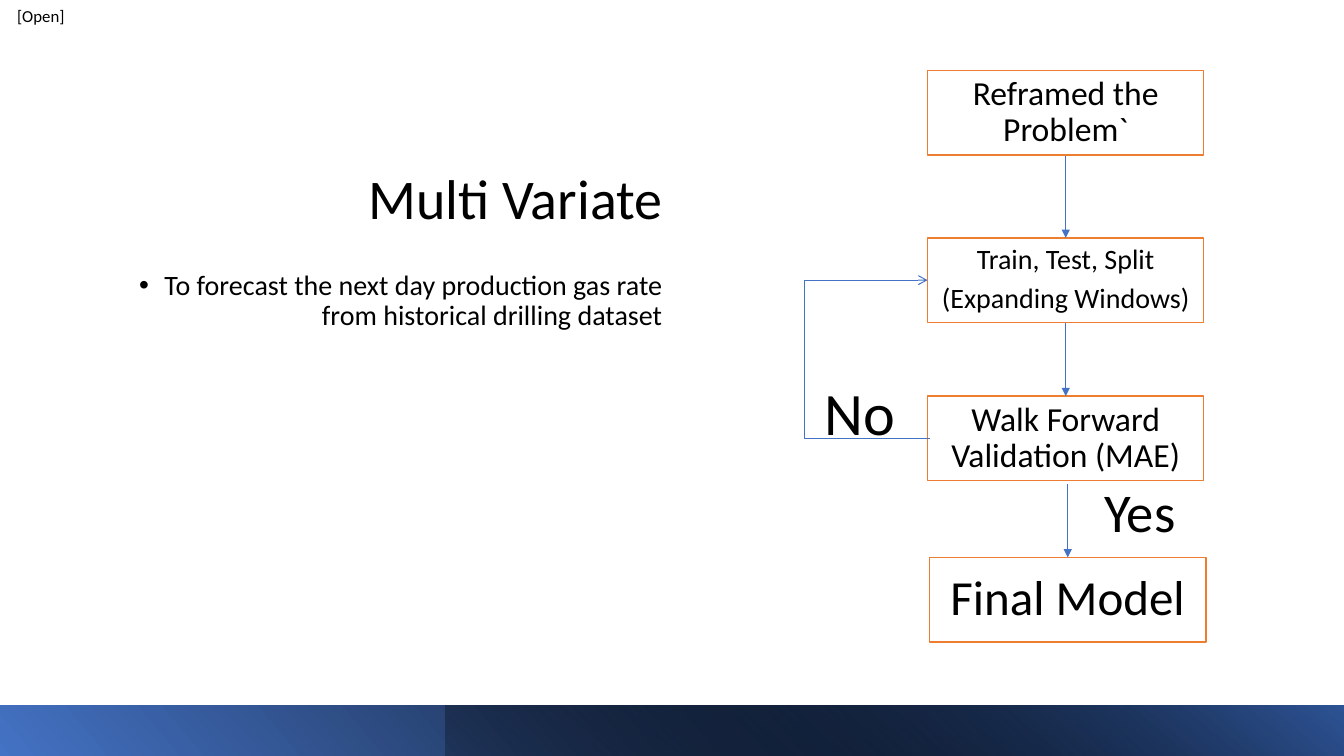
from dataclasses import dataclass

from pptx import Presentation
from pptx.dml.color import RGBColor
from pptx.enum.shapes import MSO_CONNECTOR as Link, MSO_SHAPE as Preset
from pptx.enum.text import MSO_ANCHOR as Anchor, PP_ALIGN as Align
from pptx.oxml.ns import qn
from pptx.oxml.xmlchemy import OxmlElement as element
from pptx.util import Inches, Pt

BLACK, WHITE, BLUE, NAVY, ORANGE = "000000", "FFFFFF", "4472C4", "2F5597", "ED7D31"
STEP_WIDTH, STEP_HEIGHT = 2.74, 0.84
LABEL_WIDTH = 0.93
FLOW = {"alignment": Align.CENTER, "line_spacing": 0.9, "space_after": Pt(6)}
HEADING = {"alignment": Align.RIGHT, "line_spacing": 0.9, "space_before": Pt(0)}
GOAL = {"alignment": Align.RIGHT, "line_spacing": 0.9, "space_before": Pt(10)}
MARK = {"alignment": Align.CENTER}


@dataclass
class Step:
    left: float
    top: float
    lines: list[str]
    size: int


@dataclass
class Label:
    left: float
    top: float
    text: str
    size: int


@dataclass
class Arrow:
    x: float
    top: float
    bottom: float


@dataclass
class Band:
    left: float
    width: float
    rotation: int
    angle: int
    stops: list[tuple[float, str]]
    opacity: int


STEPS = [
    Step(9.2, 0.7, ["Reframed the Problem`"], 24),
    Step(9.2, 2.36, ["Train, Test, Split", "(Expanding Windows)"], 20),
    Step(9.2, 3.93, ["Walk Forward Validation (MAE)"], 24),
    Step(9.22, 5.53, ["Final Model"], 35),
]
LABELS = [Label(8.06, 3.71, "No", 43), Label(10.84, 4.69, "Yes", 39)]
ARROWS = [Arrow(10.57, 1.55, 2.36), Arrow(10.57, 3.2, 3.93), Arrow(10.59, 4.8, 5.53)]
BANDS = [
    Band(0, 13.33, 180, 320, [(0, BLUE), (0.85, BLACK)], 100),
    Band(4.42, 8.92, 0, 130, [(0, BLACK), (1, NAVY)], 26),
]


def colour(value: str) -> RGBColor:
    return RGBColor.from_string(value)


def box(left: float, top: float, width: float, height: float) -> list[int]:
    return [Inches(length) for length in (left, top, width, height)]


def place(holder, left: float, top: float, width: float, height: float) -> None:
    sides = zip(("left", "top", "width", "height"), box(left, top, width, height))
    for side, length in sides:
        setattr(holder, side, length)


def write(frame, lines: list[str], size: int, look: dict, anchor=Anchor.MIDDLE) -> None:
    frame.word_wrap = True
    frame.vertical_anchor = anchor
    frame.text = "\n".join(lines)
    for paragraph in frame.paragraphs:
        for name, value in look.items():
            setattr(paragraph, name, value)
        for run in paragraph.runs:
            for name, value in {"name": "Calibri", "size": Pt(size)}.items():
                setattr(run.font, name, value)
            run.font.color.rgb = colour(BLACK)


def draw_band(shapes, band: Band) -> None:
    strip = shapes.add_shape(Preset.RECTANGLE, *box(band.left, 7, band.width, 0.5))
    strip.shadow.inherit = False
    strip.line.fill.background()
    strip.rotation = band.rotation
    strip.element.spPr.find(qn("a:xfrm")).set("flipH", "1")
    strip.fill.gradient()
    strip.fill.gradient_angle = band.angle
    for stop, (position, shade) in zip(strip.fill.gradient_stops, band.stops):
        stop.position = position
        stop.color.rgb = colour(shade)
    if band.opacity < 100:
        alpha = element("a:alpha")
        alpha.set("val", str(band.opacity * 1000))
        strip.element.spPr.find(".//" + qn("a:srgbClr")).append(alpha)


def draw_step(shapes, step: Step) -> None:
    card = shapes.add_shape(
        Preset.RECTANGLE, *box(step.left, step.top, STEP_WIDTH, STEP_HEIGHT))
    card.shadow.inherit = False
    card.fill.solid()
    card.fill.fore_color.rgb = colour(WHITE)
    card.line.color.rgb = colour(ORANGE)
    card.line.width = Pt(1)
    write(card.text_frame, step.lines, step.size, FLOW)


def draw_label(shapes, label: Label) -> None:
    answer = shapes.add_textbox(*box(label.left, label.top, LABEL_WIDTH, STEP_HEIGHT))
    write(answer.text_frame, [label.text], label.size, FLOW)


def draw_link(shapes, kind, ends: tuple[float, ...], weight: float, head: str):
    link = shapes.add_connector(kind, *box(*ends))
    link.line.color.rgb = colour(BLUE)
    link.line.width = Pt(weight)
    tail = element("a:tailEnd")
    tail.set("type", head)
    link.line._get_or_add_ln().append(tail)
    link.element.spPr.append(element("a:effectLst"))
    return link


def draw_retry_loop(shapes) -> None:
    start, end, turn = 9.22, 9.2, 7.98
    loop = draw_link(shapes, Link.ELBOW, (start, 4.35, end, 2.78), 0.75, "arrow")
    bend = element("a:gd")
    bend.set("name", "adj1")
    bend.set("fmla", f"val {round((start - turn) / (start - end) * 100000)}")
    geometry = loop.element.spPr.find(qn("a:prstGeom"))
    geometry.find(qn("a:avLst")).append(bend)


def write_goal(body) -> None:
    place(body, 1, 2.64, 5.67, 3.73)
    goal = "To forecast the next day production gas rate from historical drilling dataset"
    write(body.text_frame, [goal], 20, GOAL, Anchor.TOP)
    settings = body.text_frame.paragraphs[0]._p.get_or_add_pPr()
    settings.set("marL", str(Inches(0.25)))
    settings.set("indent", str(Inches(-0.25)))
    bullet = element("a:buChar")
    bullet.set("char", "•")
    settings.append(bullet)


def main() -> None:
    deck = Presentation()
    deck.slide_width, deck.slide_height = Inches(13.33), Inches(7.5)
    slide = deck.slides.add_slide(deck.slide_layouts[1])
    shapes = slide.shapes

    marking = shapes.add_textbox(*box(0, 0, 0.81, 0.32)).text_frame
    for side in ("left", "top", "right", "bottom"):
        setattr(marking, f"margin_{side}", 0)
    write(marking, ["[Open]"], 12, MARK)

    place(shapes.title, 1, 0.54, 5.67, 1.81)
    write(shapes.title.text_frame, ["Multi Variate"], 40, HEADING, Anchor.BOTTOM)
    write_goal(slide.placeholders[1])

    for band in BANDS:
        draw_band(shapes, band)
    for step in STEPS:
        draw_step(shapes, step)
    for arrow in ARROWS:
        ends = (arrow.x, arrow.top, arrow.x, arrow.bottom)
        draw_link(shapes, Link.STRAIGHT, ends, 0.5, "triangle")
    draw_retry_loop(shapes)
    for label in LABELS:
        draw_label(shapes, label)

    deck.save("out.pptx")


if __name__ == "__main__":
    main()
